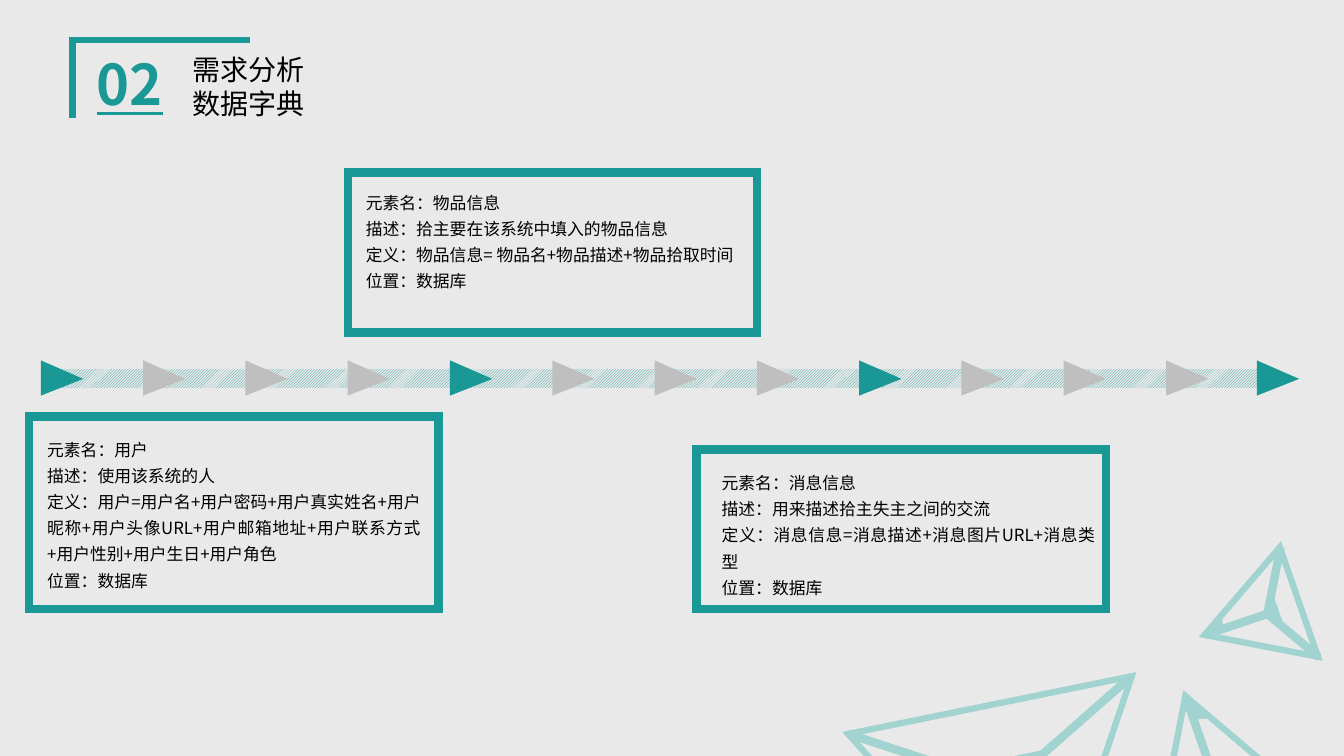
from lxml import etree
from pptx import Presentation
from pptx import util as u
from pptx.dml.color import RGBColor
from pptx.enum import dml, shapes, text
from pptx.oxml.ns import qn

PX = 9144  # 100 px to the inch
FONT = "Noto Sans CJK SC"
TEAL = RGBColor(0x1A, 0x98, 0x95)
PALE_TEAL = RGBColor(0xA1, 0xD3, 0xD0)
GREY = RGBColor(0xBF, 0xBF, 0xBF)
PAPER = RGBColor(0xE9, 0xE9, 0xE9)
BLACK = RGBColor(0, 0, 0)

TITLE = ["需求分析", "数据字典"]
BRACKET = [(72, 117), (72, 40), (248, 40)]
ENTRIES = [  # frame, text box, lines
    ((29, 413, 406, 191), (37, 425, 390, 167), [
        "元素名：用户",
        "描述：使用该系统的人",
        "定义：用户=用户名+用户密码+用户真实姓名+用户昵称+用户头像URL"
        "+用户邮箱地址+用户联系方式+用户性别+用户生日+用户角色",
        "位置：数据库"]),
    ((345, 171, 406, 159), (353, 180, 390, 141), [
        "元素名：物品信息",
        "描述：拾主要在该系统中填入的物品信息",
        "定义：物品信息= 物品名+物品描述+物品拾取时间",
        "位置：数据库"]),
    ((691, 446, 406, 158), (706, 458, 390, 141), [
        "元素名：消息信息",
        "描述：用来描述拾主失主之间的交流",
        "定义：消息信息=消息描述+消息图片URL+消息类型",
        "位置：数据库"]),
]
PYRAMIDS = [  # outline and its angle, edges, solid triangle at the hub, solid corner
    dict(outline=(1123, 687, 147, 126), angle=340.7,
         edges=[(1176, 691, 1203, 769)],
         corner=[(1186, 713), (1198, 712), (1181, 698)]),
    dict(outline=(863, 697, 287, 247), angle=168.5,
         edges=[(1122, 671, 998, 780), (841, 728, 999, 780)],
         hub=(958, 753, 75, 23)),
    dict(outline=(1184, 564, 115, 99), angle=250.8,
         edges=[(1195, 630, 1257, 609), (1308, 652, 1257, 609), (1270, 543, 1257, 609)],
         hub=(1248, 602, 30, 9),
         corner=[(1212, 622), (1212, 613), (1201, 626)]),
]
TRACK = (41, 366, 1223, 19)
ARROW_TOP, ARROW_WIDTH, ARROW_HEIGHT = 354, 35, 42
ARROW_START, ARROW_STEP, ARROW_COUNT, LAST_ARROW = 44, 101.45, 12, 1250

deck = Presentation()
deck.slide_width, deck.slide_height = u.Inches(13.33), u.Inches(7.5)
page = deck.slides.add_slide(deck.slide_layouts[5])
page.background.fill.solid()
page.background.fill.fore_color.rgb = PAPER


def emu(lengths):
    return [round(length * PX) for length in lengths]


def paint(shape, fill=None, line=None, width=0):
    shape.shadow.inherit = False
    if fill is None:
        shape.fill.background()
    else:
        shape.fill.solid()
        shape.fill.fore_color.rgb = fill
    if line is None:
        shape.line.fill.background()
    else:
        shape.line.color.rgb = line
        shape.line.width = u.Pt(width)
        outline = shape.line._get_or_add_ln()
        etree.SubElement(outline, qn("a:miter")).set("lim", "800000")
    return shape


def add_preset(kind, box, angle=0, **look):
    shape = page.shapes.add_shape(kind, *emu(box))
    shape.rotation = angle
    return paint(shape, **look)


def add_outline(points, close, **look):
    builder = page.shapes.build_freeform(*points[0], scale=PX)
    builder.add_line_segments(points[1:], close=close)
    return paint(builder.convert_to_shape(), **look)


def add_edge(ends):
    edge = page.shapes.add_connector(shapes.MSO_CONNECTOR.STRAIGHT, *emu(ends))
    edge.line.color.rgb = PALE_TEAL
    edge.line.width = u.Pt(6)
    etree.SubElement(edge._element.spPr, qn("a:effectLst"))


def write(box, place, lines, size, color=BLACK, bold=False, underline=False,
          align=text.PP_ALIGN.LEFT, spacing=1.0):
    box.left, box.top, box.width, box.height = emu(place)
    frame = box.text_frame
    frame.word_wrap = True
    frame.auto_size = text.MSO_AUTO_SIZE.NONE
    frame.vertical_anchor = text.MSO_ANCHOR.TOP
    for index, line in enumerate(lines):
        para = frame.add_paragraph() if index else frame.paragraphs[0]
        para.alignment, para.line_spacing = align, spacing
        para.space_before = para.space_after = u.Pt(0)
        span = para.add_run()
        span.text = line
        font = span.font
        font.name, font.size = FONT, u.Pt(size)
        font.bold, font.underline = bold, underline
        font.color.rgb = color
        etree.SubElement(font._element, qn("a:ea")).set("typeface", FONT)


def add_text(place, lines, size, **look):
    write(page.shapes.add_textbox(0, 0, 0, 0), place, lines, size, **look)


RECTANGLE = shapes.MSO_SHAPE.RECTANGLE
TRIANGLE = shapes.MSO_SHAPE.ISOSCELES_TRIANGLE

# Heading
add_outline(BRACKET, False, line=TEAL, width=4.5)
add_text((86, 44, 95, 77), ["02"], 40, color=TEAL, bold=True, underline=True)
write(page.shapes.title, (181, 47, 240, 77), TITLE, 20)

# Corner decoration
for pyramid in PYRAMIDS:
    angle = pyramid["angle"]
    add_preset(TRIANGLE, pyramid["outline"], angle, fill=PAPER, line=PALE_TEAL, width=4.5)
    for ends in pyramid["edges"]:
        add_edge(ends)
    if "hub" in pyramid:
        add_preset(TRIANGLE, pyramid["hub"], angle, fill=PALE_TEAL, line=PALE_TEAL, width=1)
    if "corner" in pyramid:
        add_outline(pyramid["corner"], True, fill=PALE_TEAL, line=PALE_TEAL, width=1)

# Timeline
track = add_preset(RECTANGLE, TRACK)
track.fill.patterned()
track.fill.pattern = dml.MSO_PATTERN.LIGHT_UPWARD_DIAGONAL
track.fill.fore_color.rgb, track.fill.back_color.rgb = TEAL, PAPER
arrow_lefts = [ARROW_START + i * ARROW_STEP for i in range(ARROW_COUNT)] + [LAST_ARROW]
for i, left in enumerate(arrow_lefts):
    arrow = add_preset(TRIANGLE, (left, ARROW_TOP, ARROW_WIDTH, ARROW_HEIGHT), 90,
                       fill=GREY if i % 4 else TEAL)
    arrow.adjustments[0] = 0.525

# Dictionary entries
for frame_place, text_place, lines in ENTRIES:
    add_text(text_place, lines, 12, align=text.PP_ALIGN.JUSTIFY, spacing=1.3)
    add_preset(RECTANGLE, frame_place, line=TEAL, width=6)

deck.save("out.pptx")
